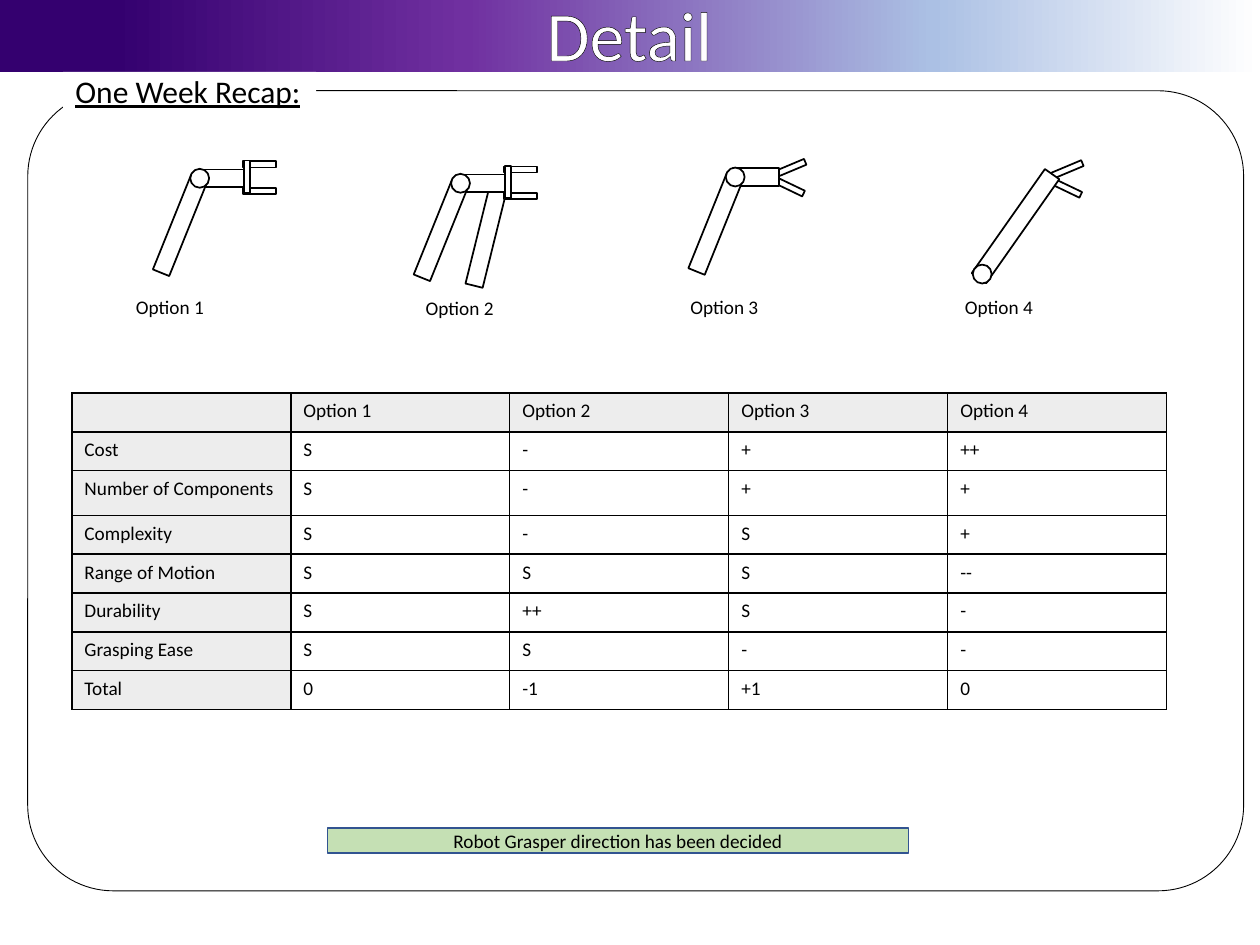
from lxml import etree
from pptx import Presentation
from pptx.dml.color import RGBColor
from pptx.enum.shapes import MSO_SHAPE
from pptx.enum.text import MSO_ANCHOR, PP_ALIGN
from pptx.oxml.ns import qn
from pptx.util import Inches, Pt

RECTANGLE = MSO_SHAPE.RECTANGLE
ROUNDED = MSO_SHAPE.ROUNDED_RECTANGLE
CIRCLE = MSO_SHAPE.OVAL
LEFT, CENTER = PP_ALIGN.LEFT, PP_ALIGN.CENTER
TOP, MIDDLE = MSO_ANCHOR.TOP, MSO_ANCHOR.MIDDLE

FONT = "Calibri"
COLORS = {
    "ink": "000000", "paper": "FFFFFF", "header": "EDEDED",
    "note": "C5E0B4", "note line": "325491",
    "indigo": "34006F", "purple": "7030A0", "sky": "ABC0E4",
}
BANNER_STOPS = [(9, "indigo"), (37, "purple"), (74, "sky"), (100, "paper")]

# The slide is a grid of 100 columns by 75 rows of square cells
CELL = Inches(10) // 100
COLUMNS, ROWS = 100, 75

SCORES = [
    ["", "Option 1", "Option 2", "Option 3", "Option 4"],
    ["Cost", "S", "-", "+", "++"],
    ["Number of Components", "S", "-", "+", "+"],
    ["Complexity", "S", "-", "S", "+"],
    ["Range of Motion", "S", "S", "S", "--"],
    ["Durability", "S", "++", "S", "-"],
    ["Grasping Ease", "S", "S", "-", "-"],
    ["Total", "0", "-1", "+1", "0"],
]


def cells(*lengths):
    return [round(length * CELL) for length in lengths]


def color(name):
    return RGBColor.from_string(COLORS[name])


def add_solid(parent, name):
    fill = etree.SubElement(parent, qn("a:solidFill"))
    etree.SubElement(fill, qn("a:srgbClr"), val=COLORS[name])


def add_part(slide, kind, box, fill="paper", line="ink", weight=1, rotation=0):
    shape = slide.shapes.add_shape(kind, *cells(*box))
    shape.shadow.inherit = False
    shape.rotation = rotation
    if fill:
        shape.fill.solid()
        shape.fill.fore_color.rgb = color(fill)
    else:
        shape.fill.background()
    if line:
        shape.line.color.rgb = color(line)
        shape.line.width = Pt(weight)
    else:
        shape.line.fill.background()
    return shape


def write(frame, text, size=11, ink="ink", align=LEFT, anchor=TOP, wrap=True):
    frame.text = text
    frame.word_wrap = wrap
    frame.vertical_anchor = anchor
    paragraph = frame.paragraphs[0]
    paragraph.alignment = align
    for run in paragraph.runs:
        run.font.name = FONT
        run.font.size = Pt(size)
        run.font.color.rgb = color(ink)
    return paragraph


def add_label(slide, box, text, **style):
    return write(slide.shapes.add_textbox(*cells(*box)).text_frame, text, **style)


# Banner and title
def add_banner(slide, box):
    banner = add_part(slide, RECTANGLE, box, fill=None, line=None)
    properties = banner.fill._xPr
    properties.remove(properties.find(qn("a:noFill")))
    gradient = etree.Element(qn("a:gradFill"), rotWithShape="1")
    stops = etree.SubElement(gradient, qn("a:gsLst"))
    for position, name in BANNER_STOPS:
        stop = etree.SubElement(stops, qn("a:gs"), pos=str(position * 1000))
        etree.SubElement(stop, qn("a:srgbClr"), val=COLORS[name])
    etree.SubElement(gradient, qn("a:lin"), ang="0", scaled="0")
    properties.find(qn("a:prstGeom")).addnext(gradient)


def add_title(slide, box):
    paragraph = add_label(slide, box, "Detail", size=40, ink="paper",
                          align=CENTER, wrap=False)
    outline = etree.Element(qn("a:ln"), w="0")
    add_solid(outline, "ink")
    paragraph.runs[0].font._element.insert(0, outline)


# Rounded frame with the heading set into its top edge
def add_frame(slide, box):
    frame = add_part(slide, ROUNDED, box, fill=None, weight=0.5)
    frame.adjustments[0] = 0.107


def add_heading(slide, box):
    heading = add_part(slide, RECTANGLE, box, line=None)
    frame = heading.text_frame
    frame.margin_top = frame.margin_bottom = 0
    paragraph = write(frame, "One Week Recap:", size=18, wrap=False)
    paragraph.runs[0].font.underline = True


# Robot arms, each placed from the top left of its joint
def add_arm(slide, left, top):
    add_part(slide, RECTANGLE, (left + 1.7, top - 1.1, 1.4, 3.7), rotation=90)
    add_part(slide, RECTANGLE, (left - 1.5, top + 0.45, 1.4, 8.1), rotation=22)
    add_part(slide, CIRCLE, (left, top, 1.5, 1.5))


def add_clamp(slide, left, top):
    for jaw_top in (top + 2.1, top):
        add_part(slide, RECTANGLE, (left, jaw_top, 2.6, 0.5), rotation=180)
    add_part(slide, RECTANGLE, (left - 1, top + 1, 2.6, 0.5), rotation=90)


def add_fingers(slide, left, top):
    add_part(slide, RECTANGLE, (left, top + 1.45, 2.6, 0.5), rotation=205.6)
    add_part(slide, RECTANGLE, (left + 0.1, top, 2.6, 0.5), rotation=157.2)


def add_clamp_arm(slide, left, top):
    add_clamp(slide, left + 4.2, top - 0.6)
    add_arm(slide, left, top)


def add_braced_arm(slide, left, top):
    add_part(slide, RECTANGLE, (left + 2.1, top + 0.9, 1.4, 8.1), rotation=13.9)
    add_clamp_arm(slide, left, top)


def add_finger_arm(slide, left, top):
    add_fingers(slide, left + 3.7, top - 0.2)
    add_arm(slide, left, top)


def add_straight_arm(slide, left, top):
    add_fingers(slide, left + 6.1, top - 7.8)
    add_part(slide, RECTANGLE, (left + 2.7, top - 8.1, 1.4, 10.1), rotation=35.1)
    add_part(slide, CIRCLE, (left, top, 1.5, 1.5))


def add_options(slide):
    options = [  # drawing, joint left and top, label left and top
        (add_clamp_arm, 15.1, 13.4, 9.8, 22.9),
        (add_braced_arm, 35.8, 13.8, 32.8, 23),
        (add_finger_arm, 57.6, 13.3, 53.8, 22.9),
        (add_straight_arm, 77.2, 21, 75.6, 22.9),
    ]
    for number, (draw, left, top, label_left, label_top) in enumerate(options, 1):
        draw(slide, left, top)
        add_label(slide, (label_left, label_top, 7.5, 2.9), f"Option {number}")


# Score table
def style_cell(cell, text, shaded):
    paragraph = write(cell.text_frame, text)
    if not text:
        etree.SubElement(paragraph._p, qn("a:endParaRPr"), sz="1100")
    properties = cell._tc.get_or_add_tcPr()
    for side in ("lnL", "lnR", "lnT", "lnB"):
        add_solid(etree.SubElement(properties, qn(f"a:{side}"), w=str(Pt(1))), "ink")
    if shaded:
        cell.fill.solid()
        cell.fill.fore_color.rgb = color("header")
    else:
        cell.fill.background()


def add_scores(slide, box):
    table = slide.shapes.add_table(len(SCORES), len(SCORES[0]), *cells(*box)).table
    table.first_row = table.horz_banding = False
    for row, values in enumerate(SCORES):
        table.rows[row].height = cells(3.55 if row == 2 else 3.08)[0]
        for column, text in enumerate(values):
            style_cell(table.cell(row, column), text, row == 0 or column == 0)


# Decision note
def add_note(slide, box):
    note = add_part(slide, RECTANGLE, box, fill="note", line="note line")
    write(note.text_frame, "Robot Grasper direction has been decided",
          align=CENTER, anchor=MIDDLE)


def main():
    presentation = Presentation()
    presentation.slide_width, presentation.slide_height = cells(COLUMNS, ROWS)
    slide = presentation.slides.add_slide(presentation.slide_layouts[6])
    add_banner(slide, (0, 0, COLUMNS, 5.7))
    add_frame(slide, (2.2, 7.2, 96.5, 63.5))
    add_heading(slide, (5, 5.7, 20.1, 3))
    add_options(slide)
    add_scores(slide, (5.7, 31.2, 86.9, 25.1))
    add_note(slide, (26, 65.7, 46.1, 2))
    add_title(slide, (42.3, -1.2, 15.3, 7.7))
    presentation.save("out.pptx")


if __name__ == "__main__":
    main()
